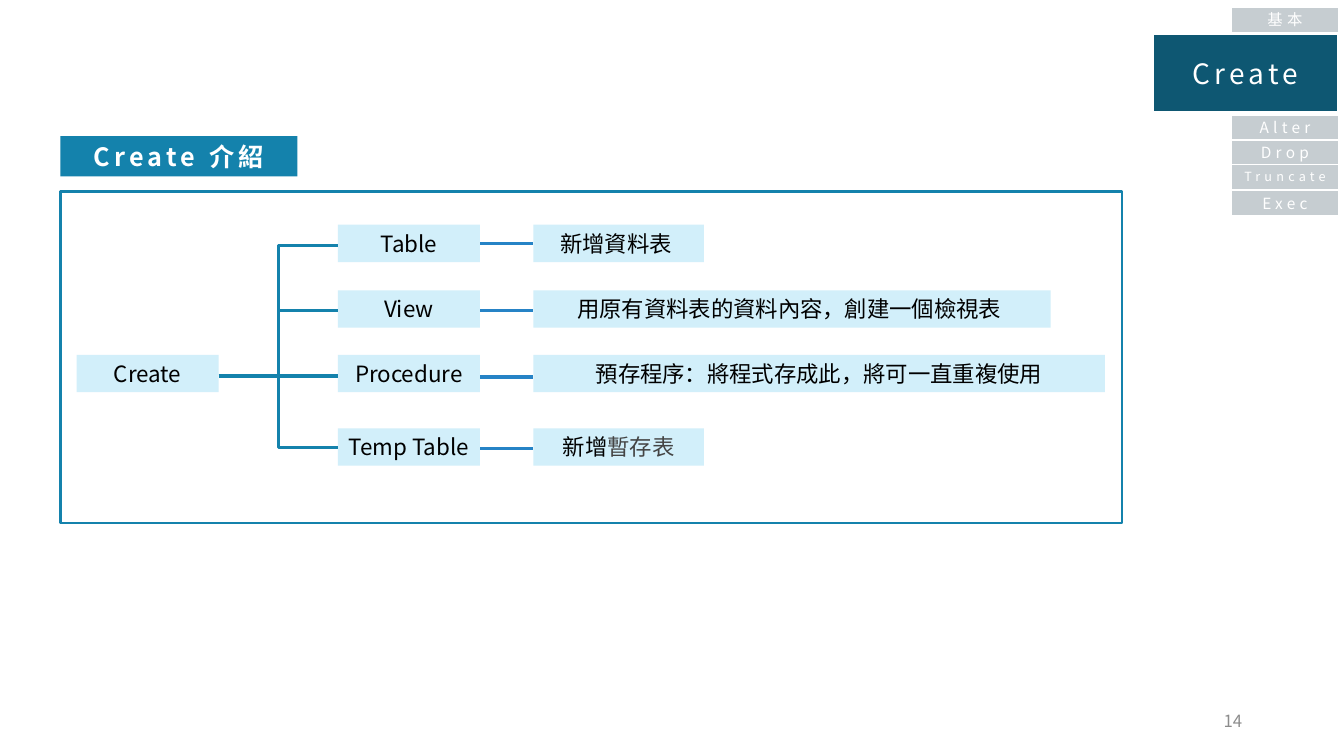
from dataclasses import dataclass

from lxml import etree
from pptx import Presentation
from pptx.dml.color import RGBColor
from pptx.enum.shapes import MSO_CONNECTOR, MSO_SHAPE
from pptx.enum.text import MSO_ANCHOR, PP_ALIGN
from pptx.oxml.ns import qn
from pptx.util import Inches, Pt

RECTANGLE = MSO_SHAPE.RECTANGLE
STRAIGHT, ELBOW = MSO_CONNECTOR.STRAIGHT, MSO_CONNECTOR.ELBOW
MIDDLE = MSO_ANCHOR.MIDDLE
CENTER, RIGHT = PP_ALIGN.CENTER, PP_ALIGN.RIGHT


@dataclass(frozen=True)
class Theme:
    font: str = "Noto Sans CJK TC"
    accent_font: str = "Arial"
    white: str = "FFFFFF"
    black: str = "000000"
    dark_gray: str = "444444"
    page_gray: str = "8C8C8C"
    tab_gray: str = "C6CDD1"
    active_tab: str = "0E5772"
    teal: str = "1482AC"
    blue: str = "2683C6"
    pale: str = "D2EFFA"
    active_size: int = 20
    title_size: int = 18
    body_size: int = 16
    page_size: int = 12
    tab_size: int = 11
    small_tab_size: int = 9


theme = Theme()
deck = Presentation()
deck.slide_width, deck.slide_height = Inches(13.33), Inches(7.5)
page = deck.slides.add_slide(deck.slide_layouts[6])


def add_box(left, top, width, height, text="", *, fill=None, line=None,
            line_width=1, size=theme.body_size, color=theme.black, bold=False,
            spacing=0, align=CENTER, accent=""):
    """Add a rectangle with one line of text; accent is a second, gray span."""
    box = page.shapes.add_shape(RECTANGLE, Inches(left), Inches(top),
                                Inches(width), Inches(height))
    box.shadow.inherit = False
    if fill:
        box.fill.solid()
        box.fill.fore_color.rgb = RGBColor.from_string(fill)
    else:
        box.fill.background()
    if line:
        box.line.color.rgb = RGBColor.from_string(line)
        box.line.width = Pt(line_width)
    else:
        box.line.fill.background()
    frame = box.text_frame
    frame.word_wrap = False
    frame.vertical_anchor = MIDDLE
    para = frame.paragraphs[0]
    para.alignment = align
    for words, font, ink in ((text, theme.font, color),
                             (accent, theme.accent_font, theme.dark_gray)):
        if not words:
            continue
        span = para.add_run()
        span.text = words
        span.font.name = font
        span.font.size = Pt(size)
        span.font.bold = bold
        span.font.color.rgb = RGBColor.from_string(ink)
        properties = span.font._element
        etree.SubElement(properties, qn("a:ea")).set("typeface", font)
        if spacing:
            properties.set("spc", str(spacing * 100))


def add_line(kind, x1, y1, x2, y2, color):
    """Add a connector without a shadow."""
    line = page.shapes.add_connector(kind, Inches(x1), Inches(y1),
                                     Inches(x2), Inches(y2))
    line.line.color.rgb = RGBColor.from_string(color)
    line.line.width = Pt(2.25)
    etree.SubElement(line._element.spPr, qn("a:effectLst"))


# Title and frame
add_box(0.6, 1.35, 2.35, 0.4, "Create 介紹", fill=theme.teal,
        size=theme.title_size, color=theme.white, bold=True, spacing=3)
add_box(0.6, 1.9, 10.53, 3.29, line=theme.teal, line_width=1.5)

# Tree: name, box top, branch y, link y, description, gray ending, width
BOX_HEIGHT, ITEM_WIDTH = 0.37, 1.41
ROOT_LEFT, ITEM_LEFT, DETAIL_LEFT = 0.76, 3.35, 5.29
ROOT_RIGHT, ROOT_Y = ROOT_LEFT + ITEM_WIDTH, 3.73
items = [
    ("Table", 2.23, 2.44, 2.42, "新增資料表 ", "", 1.69),
    ("View", 2.88, 3.08, 3.08, "用原有資料表的資料內容，創建一個檢視表 ", "", 5.13),
    ("Procedure", 3.52, ROOT_Y, 3.74, "預存程序：將程式存成此，將可一直重複使用", "", 5.67),
    ("Temp Table", 4.25, 4.44, 4.45, "新增", "暫存表", 1.69),
]
add_box(ROOT_LEFT, 3.52, ITEM_WIDTH, BOX_HEIGHT, "Create", fill=theme.pale)
for name, top, branch_y, link_y, detail, ending, width in items:
    add_box(DETAIL_LEFT, top, width, BOX_HEIGHT, detail, fill=theme.pale,
            accent=ending)
    add_line(STRAIGHT, 4.74, link_y, DETAIL_LEFT, link_y, theme.blue)
    add_box(ITEM_LEFT, top, ITEM_WIDTH, BOX_HEIGHT, name, fill=theme.pale)
    if branch_y == ROOT_Y:
        add_line(STRAIGHT, ITEM_LEFT, ROOT_Y, 2.63, ROOT_Y, theme.teal)
    else:
        add_line(ELBOW, ROOT_RIGHT, ROOT_Y, ITEM_LEFT, branch_y, theme.teal)

# Page number
add_box(9.42, 6.95, 3, 0.4, "14", size=theme.page_size,
        color=theme.page_gray, align=RIGHT)

# Navigation tabs
tabs = [("基本", 0.07, theme.tab_size), ("Alter", 1.14, theme.tab_size),
        ("Drop", 1.39, theme.tab_size), ("Truncate", 1.63, theme.small_tab_size),
        ("Exec", 1.89, theme.tab_size)]
for name, top, size in tabs:
    add_box(12.21, top, 1.07, 0.25, name, fill=theme.tab_gray,
            line=theme.white, size=size, color=theme.white, spacing=3)
add_box(11.44, 0.34, 1.83, 0.77, "Create", fill=theme.active_tab,
        line=theme.white, size=theme.active_size, color=theme.white, spacing=3)

deck.save("out.pptx")
